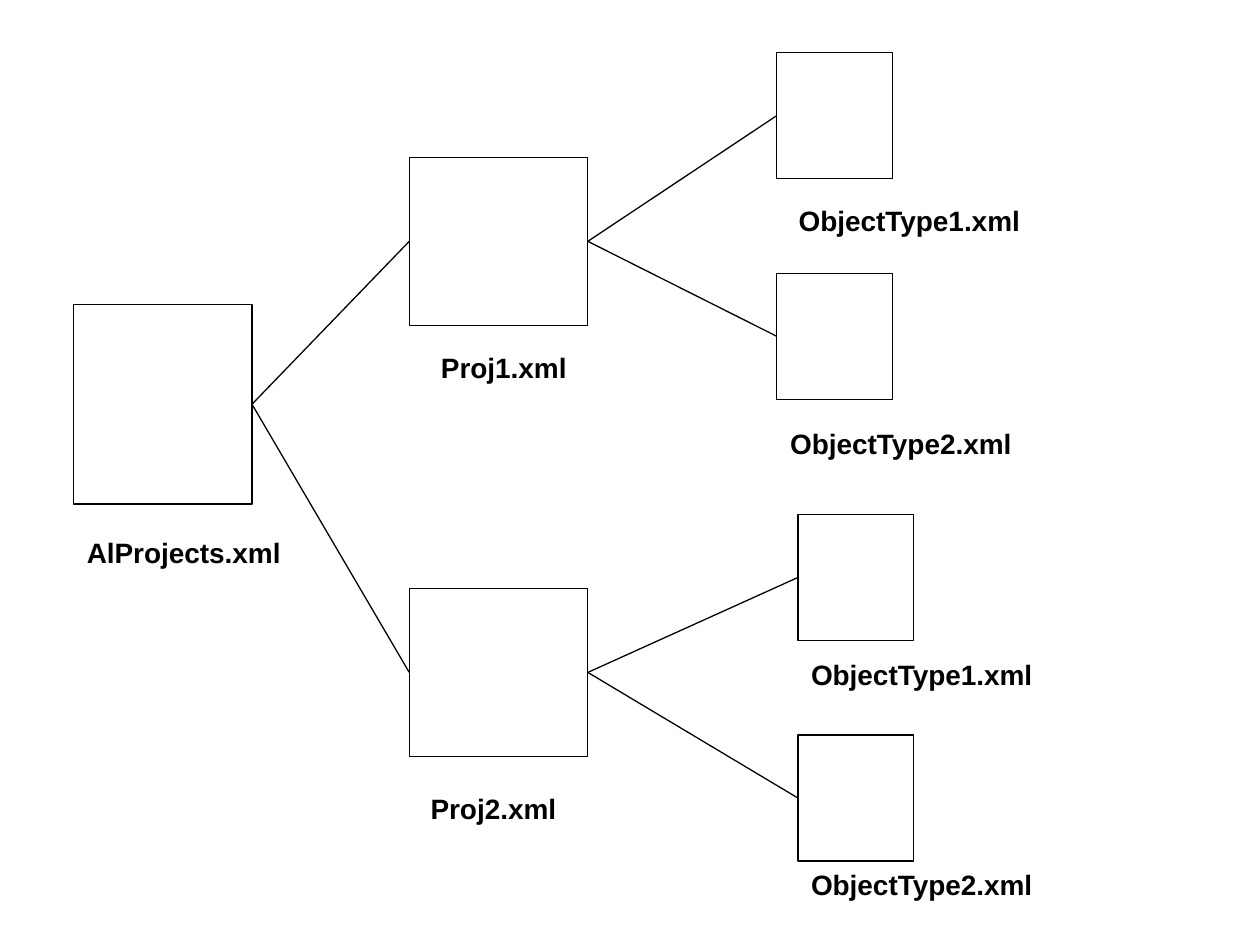
from dataclasses import dataclass

import pptx
import pptx.dml.color
import pptx.enum.shapes
import pptx.enum.text
import pptx.oxml
import pptx.oxml.ns
import pptx.util
from pptx.util import Cm

COLORS = {"fill": "FFFFFF", "ink": "000000"}
FONT = "Arial"
RIGHT, LEFT = 3, 1  # rectangle connection sites


@dataclass(frozen=True)
class Size:
    width: float
    height: float
    label_width: float


@dataclass(frozen=True)
class Node:
    label: str
    size: Size
    left: float
    top: float
    label_left: float
    label_top: float
    children: tuple["Node", ...] = ()


# File tree, lengths in centimetres
ROOT = Size(3.6, 4.02, 4.42)
PROJECT = Size(3.6, 3.39, 3.05)
OBJECT = Size(2.33, 2.54, 5.0)

TREE = Node("AlProjects.xml", ROOT, 1.48, 6.14, 1.5, 10.67, (
    Node("Proj1.xml", PROJECT, 8.25, 3.17, 8.64, 6.95, (
        Node("ObjectType1.xml", OBJECT, 15.66, 1.06, 15.85, 3.97),
        Node("ObjectType2.xml", OBJECT, 15.66, 5.51, 15.68, 8.48),
    )),
    Node("Proj2.xml", PROJECT, 8.25, 11.86, 8.43, 15.84, (
        Node("ObjectType1.xml", OBJECT, 16.09, 10.37, 16.1, 13.13),
        Node("ObjectType2.xml", OBJECT, 16.09, 14.82, 16.1, 17.37),
    )),
))


def rgb(name: str) -> pptx.dml.color.RGBColor:
    return pptx.dml.color.RGBColor.from_string(COLORS[name])


def style_line(line) -> None:
    line.color.rgb = rgb("ink")
    line.width = pptx.util.Pt(0.75)


def draw_box(s, node: Node):
    sp = s.shapes.add_shape(
        pptx.enum.shapes.MSO_SHAPE.RECTANGLE,
        Cm(node.left), Cm(node.top), Cm(node.size.width), Cm(node.size.height))
    sp.shadow.inherit = False
    sp.fill.solid()
    sp.fill.fore_color.rgb = rgb("fill")
    style_line(sp.line)
    # Half-transparent fill
    color = sp._element.spPr.find(
        f"{pptx.oxml.ns.qn('a:solidFill')}/{pptx.oxml.ns.qn('a:srgbClr')}")
    color.append(pptx.oxml.parse_xml(
        f'<a:alpha {pptx.oxml.ns.nsdecls("a")} val="50000"/>'))
    return sp


def draw_label(s, node: Node) -> None:
    sp = s.shapes.add_textbox(
        Cm(node.label_left), Cm(node.label_top), Cm(node.size.label_width), Cm(0.94))
    tf = sp.text_frame
    tf.word_wrap = False
    tf.auto_size = pptx.enum.text.MSO_AUTO_SIZE.SHAPE_TO_FIT_TEXT
    p = tf.paragraphs[0]
    r = p.add_run()
    r.text = node.label
    r.font.name = FONT
    r.font.size = pptx.util.Pt(16)
    r.font.bold = True
    r.font.color.rgb = rgb("ink")


def draw_link(s, parent, child) -> None:
    link = s.shapes.add_connector(
        pptx.enum.shapes.MSO_CONNECTOR.STRAIGHT,
        parent.left + parent.width, parent.top + parent.height // 2,
        child.left, child.top + child.height // 2)
    link.begin_connect(parent, RIGHT)
    link.end_connect(child, LEFT)
    style_line(link.line)
    link._element.spPr.append(pptx.oxml.parse_xml(
        f'<a:effectLst {pptx.oxml.ns.nsdecls("a")}/>'))


def draw_tree(s, node: Node):
    box = draw_box(s, node)
    draw_label(s, node)
    for child in node.children:
        draw_link(s, box, draw_tree(s, child))
    return box


def main() -> None:
    prs = pptx.Presentation()
    prs.slide_width, prs.slide_height = Cm(25.4), Cm(19.05)
    s = prs.slides.add_slide(prs.slide_layouts[6])  # blank: no title here
    draw_tree(s, TREE)
    prs.save("out.pptx")


if __name__ == "__main__":
    main()
